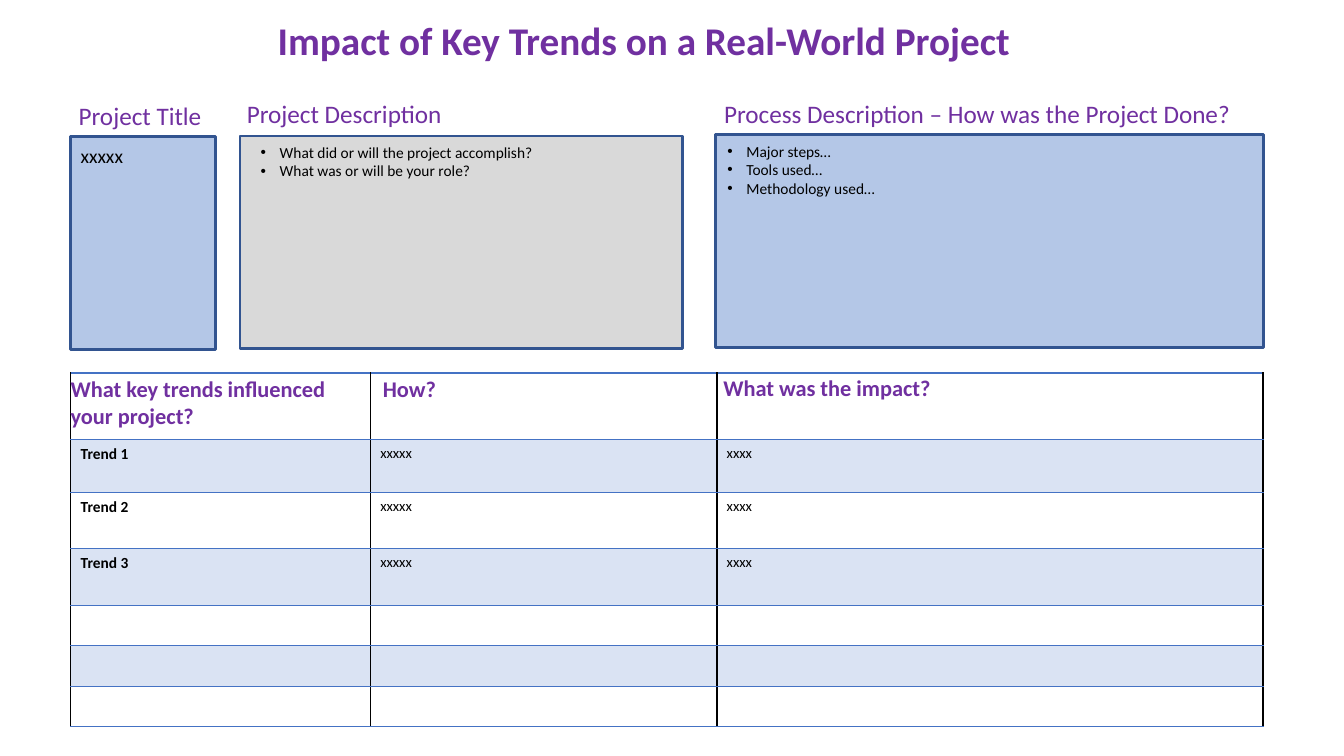
from lxml import etree
from pptx import Presentation
from pptx.dml.color import RGBColor
from pptx.enum.shapes import MSO_SHAPE
from pptx.enum.text import MSO_ANCHOR, PP_ALIGN
from pptx.oxml.ns import qn
from pptx.util import Cm, Pt

RECTANGLE = MSO_SHAPE.RECTANGLE
TOP = MSO_ANCHOR.TOP
LEFT, CENTER = PP_ALIGN.LEFT, PP_ALIGN.CENTER

FONT = "Calibri"
COLORS = {
    "purple": "7030A0", "black": "000000", "white": "FFFFFF",
    "blue": "B4C7E7", "gray": "D9D9D9", "outline": "325490",
    "band": "DAE3F3", "rule": "4472C4",
}

# Content; every place is left, top, width, height in centimetres
TITLE = "Impact of Key Trends on a Real-World Project"
TITLE_PLACE = (2.25, 0.28, 27.94, 1.45)
PANELS = [
    {"heading": "Project Title", "heading_place": (1.5, 2.41, 4.06, 1.02),
     "place": (1.78, 3.45, 3.66, 5.36), "fill": "blue",
     "lines": ["xxxxx"], "lines_place": (1.78, 3.51, 2.77, 0.84),
     "size": 14, "bullets": False},
    {"heading": "Project Description", "heading_place": (5.79, 2.36, 5.77, 1.02),
     "place": (6.05, 3.43, 11.15, 5.36), "fill": "gray",
     "lines": ["What did or will the project accomplish?",
               "What was or will be your role?"],
     "lines_place": (6.32, 3.48, 10.36, 1.17), "size": 11, "bullets": True},
    {"heading": "Process Description – How was the Project Done?",
     "heading_place": (17.83, 2.36, 13.59, 1.02),
     "place": (18.03, 3.4, 13.82, 5.36), "fill": "blue",
     "lines": ["Major steps…", "Tools used…", "Methodology used…"],
     "lines_place": (18.08, 3.45, 13.59, 2.11), "size": 11, "bullets": True},
]
TABLE_HEADINGS = [
    ("What key trends influenced your project?", (1.53, 9.32, 7.85, 1.6)),
    ("How?", (9.4, 9.32, 6.96, 0.91)),
    ("What was the impact?", (17.98, 9.3, 6.96, 0.91)),
]
TRENDS = [("Trend 1", "xxxxx", "xxxx"),
          ("Trend 2", "xxxxx", "xxxx"),
          ("Trend 3", "xxxxx", "xxxx")]
TABLE_LEFT, TABLE_TOP = 1.78, 9.4
COLUMN_WIDTHS = [7.55, 8.73, 13.77]
ROW_HEIGHTS = [1.67, 1.34, 1.41, 1.43] + [1.02] * 3


def color(name):
    return RGBColor.from_string(COLORS[name])


def lengths(place):
    return [Cm(value) for value in place]


def style(para, size, tint, bold=False, align=LEFT):
    para.alignment = align
    para.font.name = FONT
    para.font.size = Pt(size)
    para.font.bold = bold
    para.font.color.rgb = color(tint)


def add_bullet(para):
    properties = para._p.get_or_add_pPr()
    properties.set("marL", str(Cm(0.48)))
    properties.set("indent", str(-Cm(0.48)))
    bullet_font = etree.Element(qn("a:buFont"), typeface="Arial")
    bullet = etree.Element(qn("a:buChar"), char="•")
    properties.insert(0, bullet_font)
    bullet_font.addnext(bullet)


def add_text(page, place, lines, size, tint, bold=False, align=LEFT, bullets=False):
    frame = page.shapes.add_textbox(*lengths(place)).text_frame
    frame.word_wrap = True
    frame.text = "\n".join(lines)
    for para in frame.paragraphs:
        style(para, size, tint, bold, align)
        if bullets:
            add_bullet(para)


def add_panel(page, panel):
    box = page.shapes.add_shape(RECTANGLE, *lengths(panel["place"]))
    box.shadow.inherit = False
    box.fill.solid()
    box.fill.fore_color.rgb = color(panel["fill"])
    box.line.color.rgb = color("outline")
    box.line.width = Pt(2)
    add_text(page, panel["heading_place"], [panel["heading"]], 18, "purple", align=CENTER)
    add_text(page, panel["lines_place"], panel["lines"], panel["size"], "black",
             bullets=panel["bullets"])


def set_borders(cell, sides):
    properties = cell._tc.get_or_add_tcPr()
    for position, (side, tint, width) in enumerate(sides):
        line = etree.Element(qn(f"a:{side}"), w=str(Pt(width)))
        fill = etree.SubElement(line, qn("a:solidFill"))
        etree.SubElement(fill, qn("a:srgbClr"), val=COLORS[tint])
        properties.insert(position, line)


def add_trend_table(page):
    table = page.shapes.add_table(
        len(ROW_HEIGHTS), len(COLUMN_WIDTHS), Cm(TABLE_LEFT), Cm(TABLE_TOP),
        Cm(sum(COLUMN_WIDTHS)), Cm(sum(ROW_HEIGHTS))).table
    table.first_row = table.horz_banding = False
    for column, width in zip(table.columns, COLUMN_WIDTHS):
        column.width = Cm(width)
    vertical_widths = [1, 1, 1.5, 1]
    for row, height in enumerate(ROW_HEIGHTS):
        table.rows[row].height = Cm(height)
        for column in range(len(COLUMN_WIDTHS)):
            cell = table.cell(row, column)
            cell.fill.solid()
            cell.fill.fore_color.rgb = color("band" if row % 2 else "white")
            set_borders(cell, [("lnL", "black", vertical_widths[column]),
                               ("lnR", "black", vertical_widths[column + 1]),
                               ("lnT", "rule", 1), ("lnB", "rule", 1)])
            if 1 <= row <= len(TRENDS):
                cell.text = TRENDS[row - 1][column]
                is_name = column == 0
                style(cell.text_frame.paragraphs[0], 11 if is_name else 10.5,
                      "black", bold=is_name)


def main():
    deck = Presentation()
    deck.slide_width, deck.slide_height = Cm(33.87), Cm(19.05)
    page = deck.slides.add_slide(deck.slide_layouts[5])

    # Title
    title = page.shapes.title
    title.left, title.top, title.width, title.height = lengths(TITLE_PLACE)
    title.text_frame.text = TITLE
    title.text_frame.vertical_anchor = TOP
    style(title.text_frame.paragraphs[0], 28, "purple", bold=True, align=CENTER)

    # Project panels
    for panel in PANELS:
        add_panel(page, panel)

    # Trend table with its headings on top
    add_trend_table(page)
    for heading, place in TABLE_HEADINGS:
        add_text(page, place, [heading], 16, "purple", bold=True)

    deck.save("out.pptx")


if __name__ == "__main__":
    main()
